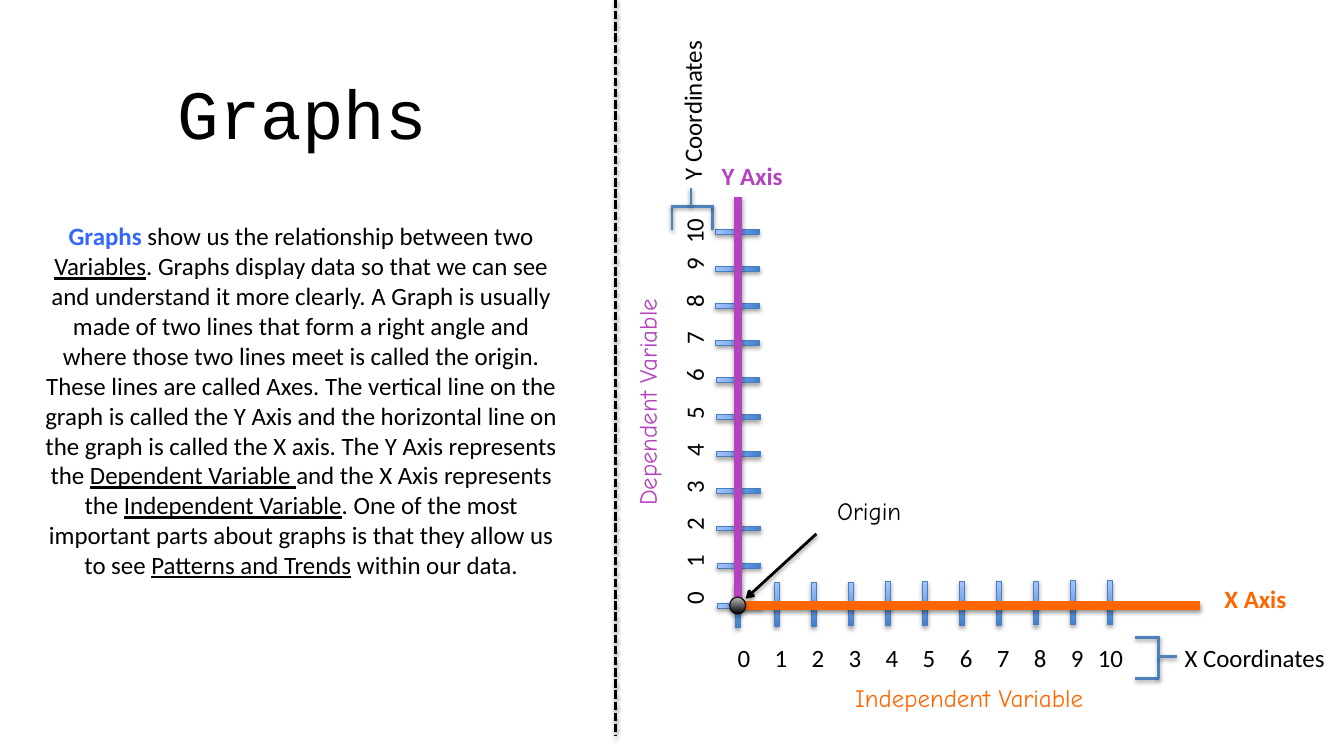
from dataclasses import dataclass

from lxml import etree
from pptx import Presentation
from pptx.dml.color import RGBColor
from pptx.enum.dml import MSO_LINE
from pptx.enum.shapes import MSO_CONNECTOR, MSO_SHAPE
from pptx.enum.text import PP_ALIGN
from pptx.oxml.ns import qn
from pptx.util import Inches, Pt

LEFT, CENTER = PP_ALIGN.LEFT, PP_ALIGN.CENTER
STRAIGHT = MSO_CONNECTOR.STRAIGHT
RECTANGLE, OVAL = MSO_SHAPE.RECTANGLE, MSO_SHAPE.OVAL
DASHED = MSO_LINE.SQUARE_DOT
COLUMNS, ROWS = 135, 75
STEP = 3.72


@dataclass(frozen=True)
class Theme:
    """Fonts, type sizes in points and colours."""
    body_font: str = "Calibri"
    title_font: str = "Courier New"
    variable_font: str = "Comic Neue"
    title_size: int = 50
    body_size: int = 18
    ink: str = "000000"
    keyword: str = "3366FF"
    x_color: str = "FF6600"
    y_color: str = "B543BD"
    bracket: str = "4F81BD"
    tick_edge: str = "4B7EBC"
    tick_fill: tuple = ("3F80CE", "A4C4FF")
    origin_fill: tuple = ("000000", "BDBDBD")


def write(paragraph, text, font, size, color, bold=False, underline=False):
    """Add one formatted run to a paragraph."""
    run = paragraph.add_run()
    run.text = text
    run.font.name = font
    run.font.size = Pt(size)
    run.font.color.rgb = RGBColor.from_string(color)
    run.font.bold = bold
    run.font.underline = underline


def cast_shadow(shape, opacity, distance):
    """Give a shape or connector a soft shadow straight below it."""
    properties = shape._element.spPr
    effects = properties.find(qn("a:effectLst"))
    if effects is None:
        effects = etree.SubElement(properties, qn("a:effectLst"))
    shadow = etree.SubElement(effects, qn("a:outerShdw"), blurRad=str(Pt(3.1)),
                              dist=str(Pt(distance)), dir="5400000", rotWithShape="0")
    color = etree.SubElement(shadow, qn("a:srgbClr"), val="000000")
    etree.SubElement(color, qn("a:alpha"), val=str(opacity * 1000))


class Board:
    """Draws styled elements on a slide, measured in grid columns and rows."""

    def __init__(self, deck, theme):
        """Add a blank slide and measure its grid."""
        self.theme = theme
        self.slide = deck.slides.add_slide(deck.slide_layouts[6])
        self.column = deck.slide_width / COLUMNS
        self.row = deck.slide_height / ROWS

    def place(self, x, y):
        """Turn columns and rows into lengths."""
        return round(x * self.column), round(y * self.row)

    def text(self, runs, x, y, width, height, align=CENTER, turn=0, wrap=True, **style):
        """Place a text box whose runs are a string or (text, format) pairs."""
        box = self.slide.shapes.add_textbox(*self.place(x, y), *self.place(width, height))
        box.rotation = turn
        box.text_frame.word_wrap = wrap
        paragraph = box.text_frame.paragraphs[0]
        paragraph.alignment = align
        base = {"font": self.theme.body_font, "size": self.theme.body_size,
                "color": self.theme.ink, **style}
        for words, changes in [(runs, {})] if isinstance(runs, str) else runs:
            write(paragraph, words, **{**base, **changes})

    def number(self, value, x, y, turn=0):
        """Centre an axis number on a point."""
        width = 2.5 if value < 10 else 4.6
        self.text(str(value), x - width / 2, y - 2, width, 4, turn=turn, wrap=False)

    def marker(self, kind, x, y, width, height, fill, edge, turn=0):
        """Centre a gradient shape on a point."""
        shape = self.slide.shapes.add_shape(
            kind, *self.place(x - width / 2, y - height / 2), *self.place(width, height))
        shape.rotation = turn
        shape.fill.gradient()
        shape.fill.gradient_angle = 90
        for stop, color in zip(shape.fill.gradient_stops, fill):
            stop.color.rgb = RGBColor.from_string(color)
        shape.line.color.rgb = RGBColor.from_string(edge)
        shape.line.width = Pt(0.75)
        shape.shadow.inherit = False
        cast_shadow(shape, 35, 1.8)

    def tick(self, x, y, turn=0):
        """Centre an axis tick on a point."""
        self.marker(RECTANGLE, x, y, 0.5, 4.4, self.theme.tick_fill,
                    self.theme.tick_edge, turn)

    def line(self, start, end, color, width=2, dash=None, arrow=False):
        """Draw a straight line, dashed or with an arrowhead if asked."""
        connector = self.slide.shapes.add_connector(
            STRAIGHT, *self.place(*start), *self.place(*end))
        connector.line.color.rgb = RGBColor.from_string(color)
        connector.line.width = Pt(width)
        if dash:
            connector.line.dash_style = dash
        if arrow:
            etree.SubElement(connector.line._get_or_add_ln(), qn("a:tailEnd"), type="arrow")
        cast_shadow(connector, 38, 1.6)


def main():
    """Build the slide about graphs and save it."""
    deck = Presentation()
    deck.slide_width, deck.slide_height = Inches(13.5), Inches(7.5)
    theme = Theme()
    board = Board(deck, theme)
    key = {"underline": True}

    board.text("Graphs", 8.1, 6.6, 44.5, 9.4, font=theme.title_font, size=theme.title_size)
    board.text([
        ("Graphs", {"color": theme.keyword, "bold": True}),
        (" show us the relationship between two ", {}),
        ("Variables", key),
        (". Graphs display data so that we can see and understand it more clearly. "
         "A Graph is usually made of two lines that form a right angle and where those "
         "two lines meet is called the origin. These lines are called Axes. The vertical "
         "line on the graph is called the Y Axis and the horizontal line on the graph is "
         "called the X axis. The Y Axis represents the ", {}),
        ("Dependent Variable ", key),
        ("and the X Axis represents the ", {}),
        ("Independent Variable", key),
        (". One of the most important parts about graphs is that they allow us to see ", {}),
        ("Patterns and Trends", key),
        (" within our data.", {}),
    ], 3.5, 21.7, 53.5, 40.4)
    board.line((61.8, 0), (61.8, 73.9), theme.ink, dash=DASHED)

    board.tick(74.3, 60.8, turn=270)
    board.tick(74.1, 60.8)
    for value in range(1, 11):
        drift = 0.02 * value
        board.tick(74.25 - drift, 60.5 - STEP * value, turn=270)
        board.tick(74.3 + STEP * value, 60.7 - drift)
    for value in range(11):
        board.number(value, 69.7, 60.4 - STEP * value, turn=270)
        board.number(value, 74.35 + STEP * value, 66)

    board.text("Dependent Variable", 50, 38.4, 30, 4, turn=270,
               font=theme.variable_font, color=theme.y_color)
    board.text("Independent Variable", 82.8, 68, 29.1, 7,
               font=theme.variable_font, color=theme.x_color)
    board.text("Y Axis", 68.8, 15.6, 13.5, 4, color=theme.y_color, bold=True)
    board.text("X Axis", 119, 58.1, 14.2, 4, color=theme.x_color, bold=True)
    board.text("Origin", 81.2, 49.3, 12.2, 4, font=theme.variable_font)
    board.text("X Coordinates", 118, 64, 16.2, 4, align=LEFT)
    board.text("Y Coordinates", 61.4, 9, 16.2, 4, align=LEFT, turn=270)

    board.line((82, 53.6), (74.9, 60.1), theme.ink, arrow=True)
    board.line((120.5, 60.8), (74.1, 60.8), theme.x_color, width=6)
    board.line((74.1, 19.8), (74.1, 60.6), theme.y_color, width=6)
    board.marker(OVAL, 74.1, 60.8, 1.6, 1.7, theme.origin_fill, theme.ink)

    x_bracket = [((114, 64), (116.4, 64)), ((114, 68.1), (116.4, 68.1)),
                 ((116.4, 63.9), (116.4, 68.2)), ((116.4, 65.9), (118.2, 65.9))]
    y_bracket = [((67.5, 23.1), (67.5, 20.7)), ((71.6, 23.1), (71.6, 20.7)),
                 ((67.4, 20.7), (71.7, 20.7)), ((69.4, 20.7), (69.4, 18.9))]
    for start, end in x_bracket + y_bracket:
        board.line(start, end, theme.bracket)

    deck.save("out.pptx")


if __name__ == "__main__":
    main()
